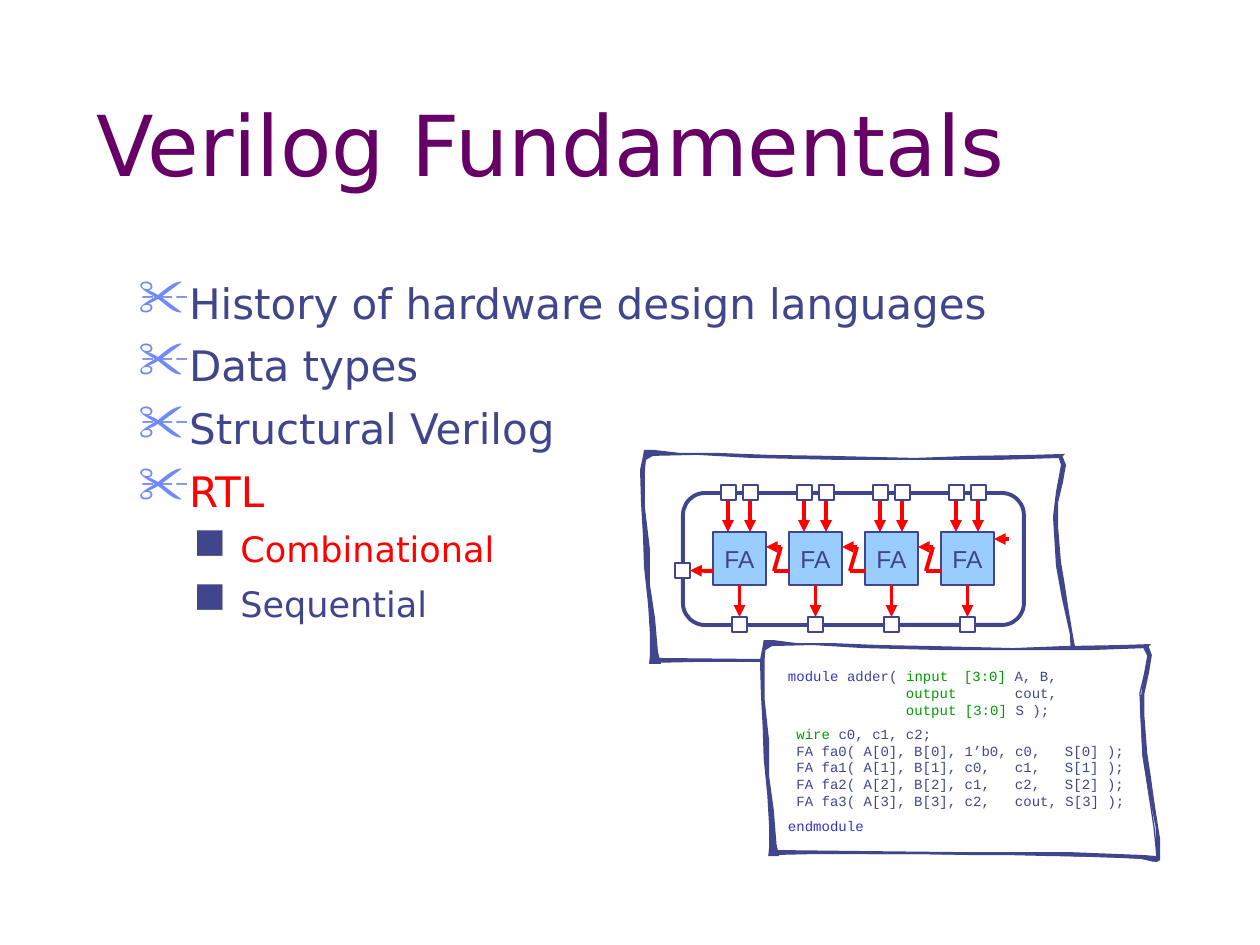
from lxml.etree import SubElement as Sub
from pptx import Presentation
from pptx.dml.color import RGBColor
from pptx.enum.shapes import MSO_CONNECTOR as Wire, MSO_SHAPE as Kind
from pptx.enum.text import MSO_ANCHOR as Anchor, MSO_AUTO_SIZE as Fit, PP_ALIGN as Align
from pptx.oxml.ns import qn
from pptx.util import Emu, Pt

UNIT = 914400 / 126  # EMU in one px
INK, RED, BLUE, GREEN, WHITE = "40458C", "FF0000", "3333CC", "009900", "FFFFFF"
SANS, MONO = "DejaVu Sans", "Courier New"

# Adder cells
FIRST, PITCH, CELL, TOP, PIN = 713, 76, 53, 532, 15

# Brush strokes of a hand-drawn frame, from its top left corner
UPPER = [
    (421, 8), (359, 10), (282, 10), (198, 10), (111, 8), (57, 5), (13, 6),
    (6, 10), (5, 20), (5, 58), (10, 100), (10, 135), (15, 168), (18, 202),
    (20, 210), (21, 214), (9, 214), (10, 205), (10, 185), (8, 154), (4, 117),
    (3, 87), (1, 53), (0, 20), (3, 6), (4, 0), (14, 0), (40, 3), (78, 3),
    (130, 5), (190, 6), (275, 8), (330, 6), (392, 5), (425, 4)]
LOWER = [
    (16, 208), (113, 209), (213, 210), (276, 210), (335, 210), (418, 213),
    (431, 214), (430, 185), (422, 149), (416, 116), (413, 67), (416, 42),
    (421, 15), (418, 6), (422, 5), (426, 15), (423, 32), (418, 53), (418, 76),
    (421, 112), (425, 136), (428, 156), (432, 180), (435, 197), (435, 218),
    (431, 220), (418, 217), (378, 215), (314, 214), (268, 213), (229, 213),
    (175, 212), (120, 212), (59, 212), (13, 213)]
SHEET = [
    (1143, 646), (1013, 649), (945, 649), (871, 646), (810, 644), (796, 644),
    (767, 643), (764, 646), (762, 663), (765, 750), (772, 827), (772, 853),
    (1024, 854), (1140, 858), (1153, 861), (1157, 857), (1154, 827),
    (1143, 755), (1140, 693), (1148, 660), (1148, 656)]

# Level, text, colour
TOPICS = [
    (0, "History of hardware design languages", INK),
    (0, "Data types", INK),
    (0, "Structural Verilog", INK),
    (0, "RTL", RED),
    (1, "Combinational", RED),
    (1, "Sequential", INK)]
MARKS = [("✂", "6F89F7", 47, 24), ("■", INK, 102, 20)]  # by level

# Space before, tab stops, runs
PORTS = (227, 277)
CODE = [
    (0, (176,), [("module", BLUE), (" adder( ", INK), ("input\t[3:0]", GREEN), (" A, B,", INK)]),
    (0, (118, 227), [("\toutput", GREEN), ("\tcout,", INK)]),
    (0, (118,), [("\toutput [3:0]", GREEN), (" S );", INK)]),
    (4, (), [(" wire", GREEN), (" c0, c1, c2;", INK)]),
    (0, PORTS, [(" FA fa0( A[0], B[0], 1’b0, c0,\tS[0] );", INK)]),
    (0, PORTS, [(" FA fa1( A[1], B[1], c0,\tc1,\tS[1] );", INK)]),
    (0, PORTS, [(" FA fa2( A[2], B[2], c1,\tc2,\tS[2] );", INK)]),
    (0, PORTS, [(" FA fa3( A[3], B[3], c2,\tcout, S[3] );", INK)]),
    (4.5, (), [("endmodule", BLUE)])]


def px(n):
    return Emu(round(n * UNIT))


def rgb(code):
    return RGBColor.from_string(code)


def paint(shape, fill, line=None, width=0.75):
    shape.shadow.inherit = False
    if fill:
        shape.fill.solid()
        shape.fill.fore_color.rgb = rgb(fill)
    else:
        shape.fill.background()
    if line:
        shape.line.color.rgb = rgb(line)
        shape.line.width = Pt(width)
    else:
        shape.line.fill.background()
    return shape


def add_run(para, text, size, color, font):
    run = para.add_run()
    run.text = text
    run.font.size = Pt(size)
    run.font.name = font
    run.font.color.rgb = rgb(color)


def add_block(slide, kind, box, fill, line, width):
    shape = slide.shapes.add_shape(kind, *map(px, box))
    return paint(shape, fill, line, width)


def add_pin(slide, x, y):
    return add_block(slide, Kind.RECTANGLE, (x, y, PIN, PIN), WHITE, INK, 1.5)


def add_wire(slide, x1, y1, x2, y2, arrow=True):
    wire = slide.shapes.add_connector(Wire.STRAIGHT, *map(px, (x1, y1, x2, y2)))
    wire.line.color.rgb = rgb(RED)
    wire.line.width = Pt(2.25)
    if arrow:
        Sub(wire.line._get_or_add_ln(), qn("a:tailEnd"), type="triangle")
    Sub(wire._element.spPr, qn("a:effectLst"))
    return wire


def add_free(slide, points, x=0, y=0, wide=1, high=1):
    free = slide.shapes.build_freeform(*points[0], scale=(UNIT * wide, UNIT * high))
    free.add_line_segments(points[1:], close=True)
    return free.convert_to_shape(px(x), px(y))


def add_frame(slide, x, y, wide=1, high=1):
    for stroke in (UPPER, LOWER):
        paint(add_free(slide, stroke, x, y, wide, high), INK)


def add_text(slide, box):
    frame = slide.shapes.add_textbox(*map(px, box)).text_frame
    frame.word_wrap = True
    return frame


def lines(frame, count):
    """Give the frame as many paragraphs as there are lines."""
    for _ in range(count - 1):
        frame.add_paragraph()
    return frame.paragraphs


def add_title(slide, text):
    title = slide.shapes.title
    title.left, title.top, title.width, title.height = map(px, (84, 74, 1071, 126))
    frame = title.text_frame
    frame.auto_size = Fit.NONE
    frame.vertical_anchor = Anchor.BOTTOM
    para = frame.paragraphs[0]
    para.alignment = Align.LEFT
    add_run(para, text, 48, "660066", SANS)


def add_topics(slide):
    frame = add_text(slide, (126, 271, 1061, 558))
    for para, (level, text, color) in zip(lines(frame, len(TOPICS)), TOPICS):
        mark, tint, left, size = MARKS[level]
        para.level = level
        para.space_before = Pt(7)
        props = para._p.get_or_add_pPr()
        props.set("marL", str(px(left)))
        props.set("indent", str(px(-47)))
        Sub(Sub(props, qn("a:buClr")), qn("a:srgbClr"), val=tint)
        Sub(props, qn("a:buSzPct"), val="126000")
        Sub(props, qn("a:buChar"), char=mark)
        add_run(para, text, size, color, SANS)


def add_cell(slide, x):
    cell = add_block(slide, Kind.RECTANGLE, (x, TOP, CELL, CELL), "99CCFF", INK, 0.75)
    frame = cell.text_frame
    frame.word_wrap = False
    frame.vertical_anchor = Anchor.MIDDLE
    frame.paragraphs[0].alignment = Align.CENTER
    add_run(frame.paragraphs[0], "FA", 14, INK, "Arial")
    # Two operand bits in, one sum bit out
    for at in (8, 30):
        mid = x + at + PIN // 2
        add_wire(slide, mid, 493, mid, TOP)
        add_pin(slide, x + at, 485)
    pin = add_pin(slide, x + 19, 617)
    wire = add_wire(slide, x + 26, TOP + CELL, x + 26, 617)
    wire.begin_connect(cell, 2)
    wire.end_connect(pin, 0)


def add_adder(slide):
    box = add_block(slide, Kind.ROUNDED_RECTANGLE, (683, 493, 341, 132), None, INK, 2.25)
    box.adjustments[0] = 0.167
    cells = [FIRST + PITCH * i for i in range(4)]
    for x in cells:
        add_cell(slide, x)
    # Carry chain
    for x in cells[:-1]:
        add_wire(slide, x + PITCH, 571, x + 61, 571, arrow=False)
        add_wire(slide, x + 68, 547, x + 61, 571, arrow=False)
        add_wire(slide, x + 68, 547, x + CELL, 547)
    add_wire(slide, cells[-1] + 68, 539, cells[-1] + CELL, 539)
    pin = add_pin(slide, 675, 563)
    add_wire(slide, FIRST, 571, 690, 571).end_connect(pin, 3)


def add_code(slide):
    frame = add_text(slide, (788, 668, 339, 168))
    frame.margin_left = frame.margin_right = frame.margin_top = frame.margin_bottom = 0
    frame.auto_size = Fit.SHAPE_TO_FIT_TEXT
    for para, (gap, stops, runs) in zip(lines(frame, len(CODE)), CODE):
        para.space_before = Pt(gap)
        if stops:
            tabs = Sub(para._p.get_or_add_pPr(), qn("a:tabLst"))
            for stop in stops:
                Sub(tabs, qn("a:tab"), pos=str(px(stop)), algn="l")
        for text, color in runs:
            add_run(para, text, 8, color, MONO)


def main():
    deck = Presentation()
    deck.slide_width, deck.slide_height = px(1260), px(945)
    slide = deck.slides.add_slide(deck.slide_layouts[5])
    add_title(slide, "Verilog Fundamentals")
    add_topics(slide)
    # Circuit sketch
    add_adder(slide)
    add_frame(slide, 640, 450)
    # Code sheet on top of it
    paint(add_free(slide, SHEET), WHITE, INK)
    add_frame(slide, 760, 640, 0.92, 1.01)
    add_code(slide)
    deck.save("out.pptx")


if __name__ == "__main__":
    main()
